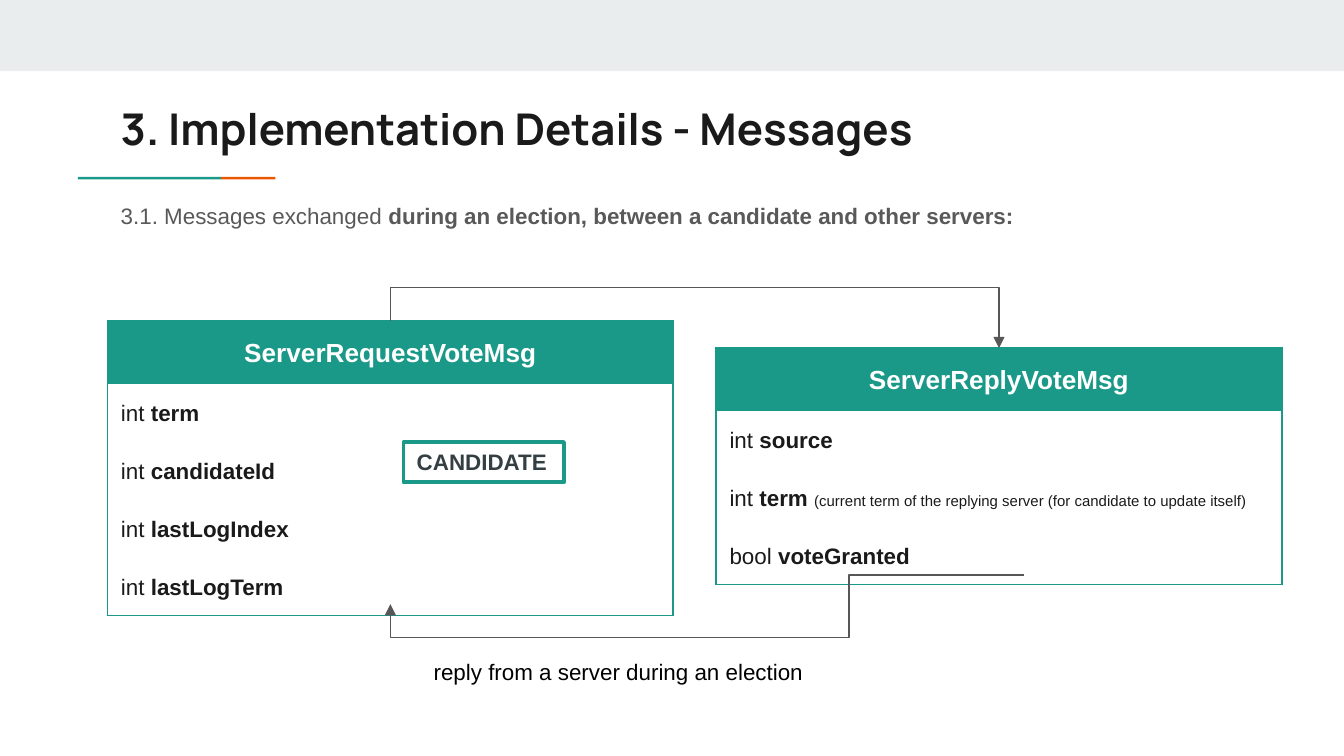
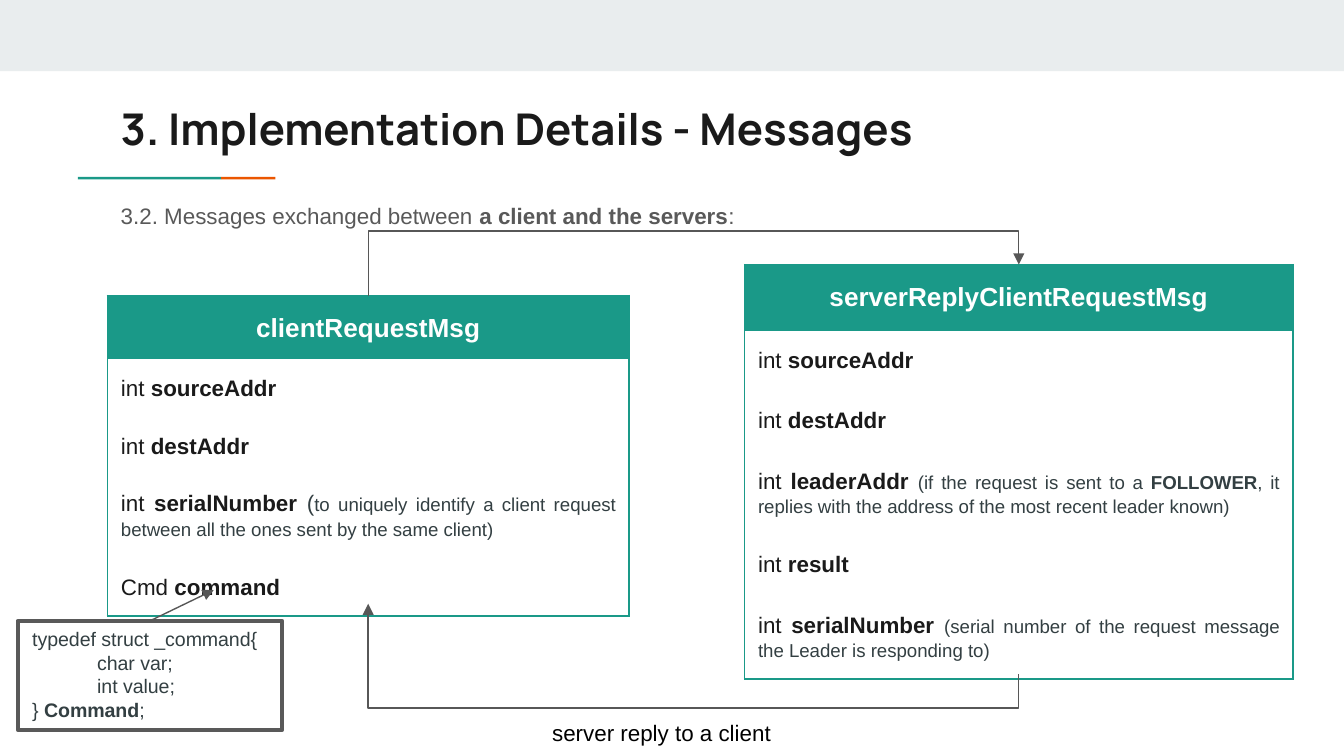
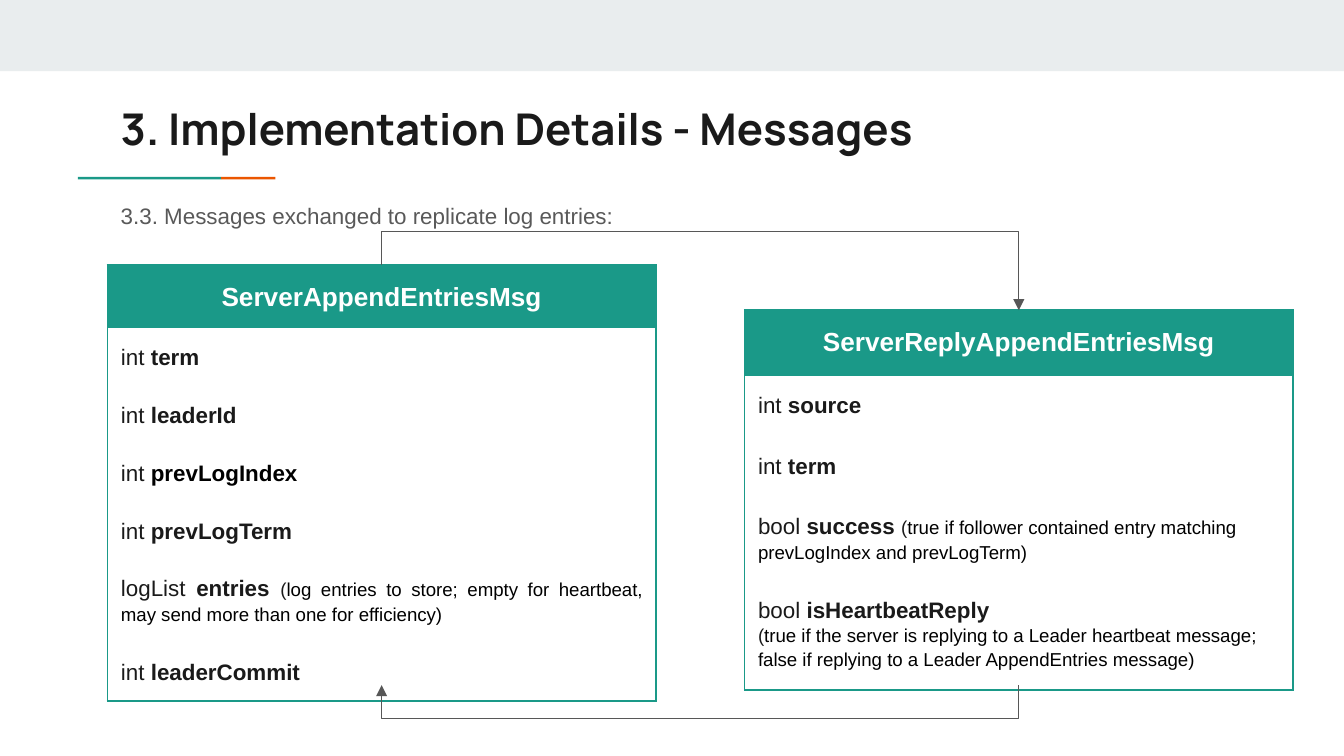
from collections import namedtuple

from pptx import Presentation
from pptx.dml.color import RGBColor
from pptx.enum.shapes import MSO_CONNECTOR as Connector, MSO_SHAPE as Preset
from pptx.enum.text import MSO_ANCHOR as Anchor, MSO_AUTO_SIZE as AutoSize, PP_ALIGN as Align
from pptx.oxml.ns import qn
from pptx.oxml.xmlchemy import OxmlElement
from pptx.util import Pt

COLORS = {
    "band": "E9EDEE",
    "teal": "1A9988",
    "orange": "EB5600",
    "ink": "1A1A1A",
    "slate": "333F42",
    "gray": "595959",
    "arrow": "575757",
    "black": "000000",
    "white": "FFFFFF",
}
BODY_FONT = "Arial"
TITLE_FONT = "Manrope"
TITLE = "3. Implementation Details - Messages"
MARGIN = 57.6
LOOP_GAP = Pt(18)
HEADER, ROW, TWO_LINES = 31.6, 30, 43.4
WIDE_HEADER, WIDE_ROW, WIDE_TWO_LINES = 35.3, 32.4, 43.5

Run = namedtuple("Run", "text bold size color", defaults=(False, 12, "ink"))
Field = namedtuple("Field", "paragraphs height justified")


def rgb(name):
    return RGBColor.from_string(COLORS[name])


def note(text, color="slate", bold=False):
    return Run(text, bold, 10, color)


def field(kind, name, *notes, height=ROW, justified=False, below=()):
    first = [Run(kind), Run(name, True), *notes]
    return Field([first, below] if below else [first], height, justified)


def write_runs(paragraph, runs, font=BODY_FONT):
    for part in runs:
        run = paragraph.add_run()
        run.text = part.text
        run.font.name = font
        run.font.size = Pt(part.size)
        run.font.bold = part.bold
        run.font.color.rgb = rgb(part.color)


def write_paragraphs(text_frame, paragraphs, font=BODY_FONT):
    for index, runs in enumerate(paragraphs):
        paragraph = text_frame.paragraphs[0] if index == 0 else text_frame.add_paragraph()
        paragraph.alignment = Align.LEFT
        write_runs(paragraph, runs, font)


def add_text(slide, left, top, width, height, runs, font=BODY_FONT):
    box = slide.shapes.add_textbox(Pt(left), Pt(top), Pt(width), Pt(height))
    box.text_frame.word_wrap = True
    write_paragraphs(box.text_frame, [runs], font)
    return box


def add_rectangle(slide, left, top, width, height, fill, outline=None):
    shape = slide.shapes.add_shape(Preset.RECTANGLE, Pt(left), Pt(top), Pt(width), Pt(height))
    shape.shadow.inherit = False
    shape.fill.solid()
    shape.fill.fore_color.rgb = rgb(fill)
    if outline:
        shape.line.color.rgb = rgb(outline)
        shape.line.width = Pt(2)
    else:
        shape.line.fill.background()
    return shape


def add_label(slide, left, top, width, height, outline, paragraphs):
    shape = add_rectangle(slide, left, top, width, height, "white", outline)
    text_frame = shape.text_frame
    text_frame.word_wrap = True
    text_frame.auto_size = AutoSize.SHAPE_TO_FIT_TEXT
    text_frame.vertical_anchor = Anchor.TOP
    write_paragraphs(text_frame, paragraphs)
    return shape


def set_borders(cell, visible):
    properties = cell._tc.get_or_add_tcPr()
    for side in "LRTB":
        line = OxmlElement(f"a:ln{side}")
        line.set("w", str(Pt(1)))
        if side in visible:
            fill = OxmlElement("a:solidFill")
            color = OxmlElement("a:srgbClr")
            color.set("val", COLORS["teal"])
            fill.append(color)
        else:
            fill = OxmlElement("a:noFill")
        line.append(fill)
        properties.append(line)


def add_message(slide, left, top, width, name, fields, header=HEADER):
    heights = [header] + [entry.height for entry in fields]
    frame = slide.shapes.add_table(
        len(heights), 1, Pt(left), Pt(top), Pt(width), Pt(sum(heights)))
    table = frame.table
    table.first_row = False
    table.horz_banding = False
    title = Field([[Run(name, True, 14, "white")]], header, False)
    for index, entry in enumerate([title, *fields]):
        table.rows[index].height = Pt(entry.height)
        cell = table.cell(index, 0)
        cell.margin_left = cell.margin_right = cell.margin_top = cell.margin_bottom = Pt(7.2)
        set_borders(cell, "LR" + "T" * (index == 0) + "B" * (index == len(fields)))
        if index == 0:
            cell.fill.solid()
            cell.fill.fore_color.rgb = rgb("teal")
        else:
            cell.fill.background()
        write_paragraphs(cell.text_frame, entry.paragraphs)
        for paragraph in cell.text_frame.paragraphs:
            paragraph.line_spacing = 1.15
            if index == 0:
                paragraph.alignment = Align.CENTER
            elif entry.justified:
                paragraph.alignment = Align.JUSTIFY
    return frame


def style_arrow(connector):
    connector.line.color.rgb = rgb("arrow")
    connector.line.width = Pt(0.75)
    head = OxmlElement("a:tailEnd")
    head.set("type", "triangle")
    connector.line._get_or_add_ln().append(head)
    connector._element.spPr.append(OxmlElement("a:effectLst"))


def add_elbow(slide, left, top, width, height, rotation, flips, adjustments):
    connector = slide.shapes.add_connector(
        Connector.ELBOW, int(left), int(top), int(left + width), int(top + height))
    properties = connector._element.spPr
    transform = properties.find(qn("a:xfrm"))
    transform.set("rot", str(rotation * 60000))
    for flip in flips:
        transform.set(f"flip{flip}", "1")
    geometry = properties.find(qn("a:prstGeom"))
    geometry.set("prst", f"bentConnector{len(adjustments) + 2}")
    values = geometry.find(qn("a:avLst"))
    if values is None:
        values = OxmlElement("a:avLst")
        geometry.append(values)
    for number, value in enumerate(adjustments, 1):
        guide = OxmlElement("a:gd")
        guide.set("name", f"adj{number}")
        guide.set("fmla", f"val {round(value * 100000)}")
        values.append(guide)
    style_arrow(connector)


def add_loop(slide, start, end, level):
    (start_x, start_y), (end_x, end_y) = start, end
    run, rise = abs(end_x - start_x), abs(end_y - start_y)
    left = (start_x + end_x - rise) / 2
    top = (start_y + end_y - run) / 2
    falling = end_y > start_y
    flips = "HV" if end_x > start_x and not falling else "H"
    add_elbow(slide, left, top, rise, run, 270 if falling else 90, flips,
              [(level - start_y) / (end_y - start_y)])


def top_middle(frame):
    return frame.left + frame.width / 2, frame.top


def bottom_middle(frame):
    return frame.left + frame.width / 2, frame.top + frame.height


def add_request_arrow(slide, request, reply):
    level = min(request.top, reply.top) - LOOP_GAP
    add_loop(slide, top_middle(request), top_middle(reply), level)


def add_reply_arrow(slide, reply, request):
    start, end = bottom_middle(reply), bottom_middle(request)
    add_loop(slide, start, end, max(start[1], end[1]) + LOOP_GAP)


def add_stepped_reply_arrow(slide, reply, request, start_x, corner_x):
    start_y = reply.top + reply.height
    end_x, end_y = bottom_middle(request)
    width, height = start_x - end_x, end_y - start_y
    add_elbow(slide, end_x, start_y, width, height, 180, "V",
              [(start_x - corner_x) / width, (height + LOOP_GAP) / height])


def start_slide(presentation, intro):
    slide = presentation.slides.add_slide(presentation.slide_layouts[6])
    add_rectangle(slide, 0, 0, 720, 38.2, "band")
    add_rectangle(slide, 41.8, 94.7, 76.7, 1.4, "teal")
    add_rectangle(slide, 118.5, 94.7, 29.1, 1.4, "orange")
    title = add_text(slide, MARGIN, 47.5, 605.5, 42.5,
                     [Run(TITLE, True, 23.4)], TITLE_FONT)
    title.text_frame.margin_top = title.text_frame.margin_bottom = Pt(7.2)
    add_text(slide, MARGIN, 104.8, 519, 21.6,
             [Run(text, bold, 12, "gray") for text, bold in intro])
    return slide


def add_caption(slide, left, top, width, text):
    add_text(slide, left, top, width, 21.6, [Run(text, color="black")])


def build_election(presentation):
    slide = start_slide(presentation, [
        ("3.1. Messages exchanged ", False),
        ("during an election, between a candidate and other servers:", True)])
    request = add_message(slide, MARGIN, 172.1, 303.1, "ServerRequestVoteMsg", [
        field("int ", name) for name in ("term", "candidateId", "lastLogIndex", "lastLogTerm")])
    reply = add_message(slide, 383.6, 186.5, 303.1, "ServerReplyVoteMsg", [
        field("int ", "source"),
        field("int ", "term ",
              Run("(current term of the replying server (for candidate to update itself)", size=8),
              justified=True),
        field("bool ", "voteGranted")])
    add_caption(slide, 225.2, 349.2, 217.4, "reply from a server during an election")
    add_stepped_reply_arrow(slide, reply, request, Pt(548.6), Pt(455))
    add_label(slide, 216.2, 236.8, 86, 21.6, "teal",
              [[Run("CANDIDATE", True, 12, "slate")]])
    add_request_arrow(slide, request, reply)


def build_client(presentation):
    slide = start_slide(presentation, [
        ("3.2. Messages exchanged between ", False),
        ("a client and the servers", True),
        (":", False)])
    request = add_message(slide, MARGIN, 158.4, 279.4, "clientRequestMsg", [
        field("int ", "sourceAddr"),
        field("int ", "destAddr"),
        field("int ", "serialNumber ", Run("(", color="slate"),
              note("to uniquely identify a client request between all the ones "
                   "sent by the same client)"),
              height=TWO_LINES, justified=True),
        field("Cmd ", "command")])
    reply = add_message(slide, 398.9, 141.8, 293.8, "serverReplyClientRequestMsg", [
        field("int ", "sourceAddr", height=WIDE_ROW),
        field("int ", "destAddr", height=WIDE_ROW),
        field("int", " leaderAddr ", note("(if the request is sent to a "),
              note("FOLLOWER", bold=True),
              note(", it replies with the address of the most recent leader known)"),
              height=WIDE_TWO_LINES, justified=True),
        field("int ", "result", height=WIDE_ROW),
        field("int", " serialNumber ",
              note("(serial number of the request message the Leader is responding to)"),
              height=WIDE_TWO_LINES, justified=True)], WIDE_HEADER)
    add_caption(slide, 288.7, 381.6, 142.6, "server reply to a client")
    add_reply_arrow(slide, reply, request)
    add_request_arrow(slide, request, reply)

    code = [[("typedef struct _command{", False)], [("char var;", False)],
            [("int value;", False)], [("} ", False), ("Command", True), (";", False)]]
    struct = add_label(slide, 9.5, 332.6, 141.8, 58.5, "gray", [
        [Run(text, bold, 10.5, "slate") for text, bold in line] for line in code])
    for paragraph, indent in zip(struct.text_frame.paragraphs, (0.7, 35.5, 35.5, 0.7)):
        paragraph._p.get_or_add_pPr().set("marL", str(Pt(indent)))
    arrow = slide.shapes.add_connector(
        Connector.STRAIGHT, Pt(80.4), Pt(332.6), Pt(114.5), Pt(316.1))
    arrow.begin_connect(struct, 0)
    style_arrow(arrow)


def build_replication(presentation):
    slide = start_slide(presentation, [
        ("3.3. Messages exchanged to replicate log entries:", False)])
    index_field = Field([[Run("int "), Run("prevLogIndex", True, 12, "black")]], ROW, False)
    request = add_message(slide, MARGIN, 142, 293.8, "ServerAppendEntriesMsg", [
        field("int ", "term"),
        field("int ", "leaderId"),
        index_field,
        field("int ", "prevLogTerm"),
        field("logList", " entries ", note("(", "ink"),
              note("log entries to store; empty for heartbeat, may send more than one "
                   "for efficiency)", "black"),
              height=TWO_LINES, justified=True),
        field("int", " leaderCommit")])
    reply = add_message(slide, 398.9, 166.2, 293.8, "ServerReplyAppendEntriesMsg", [
        field("int ", "source", height=WIDE_ROW),
        field("int ", "term", height=WIDE_ROW),
        field("bool", " success ", note("(", "ink"),
              note("true if follower contained entry matching prevLogIndex and prevLogTerm)",
                   "black"),
              height=WIDE_TWO_LINES),
        field("bool ", "isHeartbeatReply", height=57.4, below=[
            note("(", "ink"),
            note("true if the server is replying to a Leader heartbeat message; "
                 "false if replying to a Leader AppendEntries message)", "black")]),
    ], WIDE_HEADER)
    add_reply_arrow(slide, reply, request)
    add_request_arrow(slide, request, reply)


def main():
    presentation = Presentation()
    presentation.slide_width = Pt(720)
    presentation.slide_height = Pt(405)
    build_election(presentation)
    build_client(presentation)
    build_replication(presentation)
    presentation.save("out.pptx")


if __name__ == "__main__":
    main()
